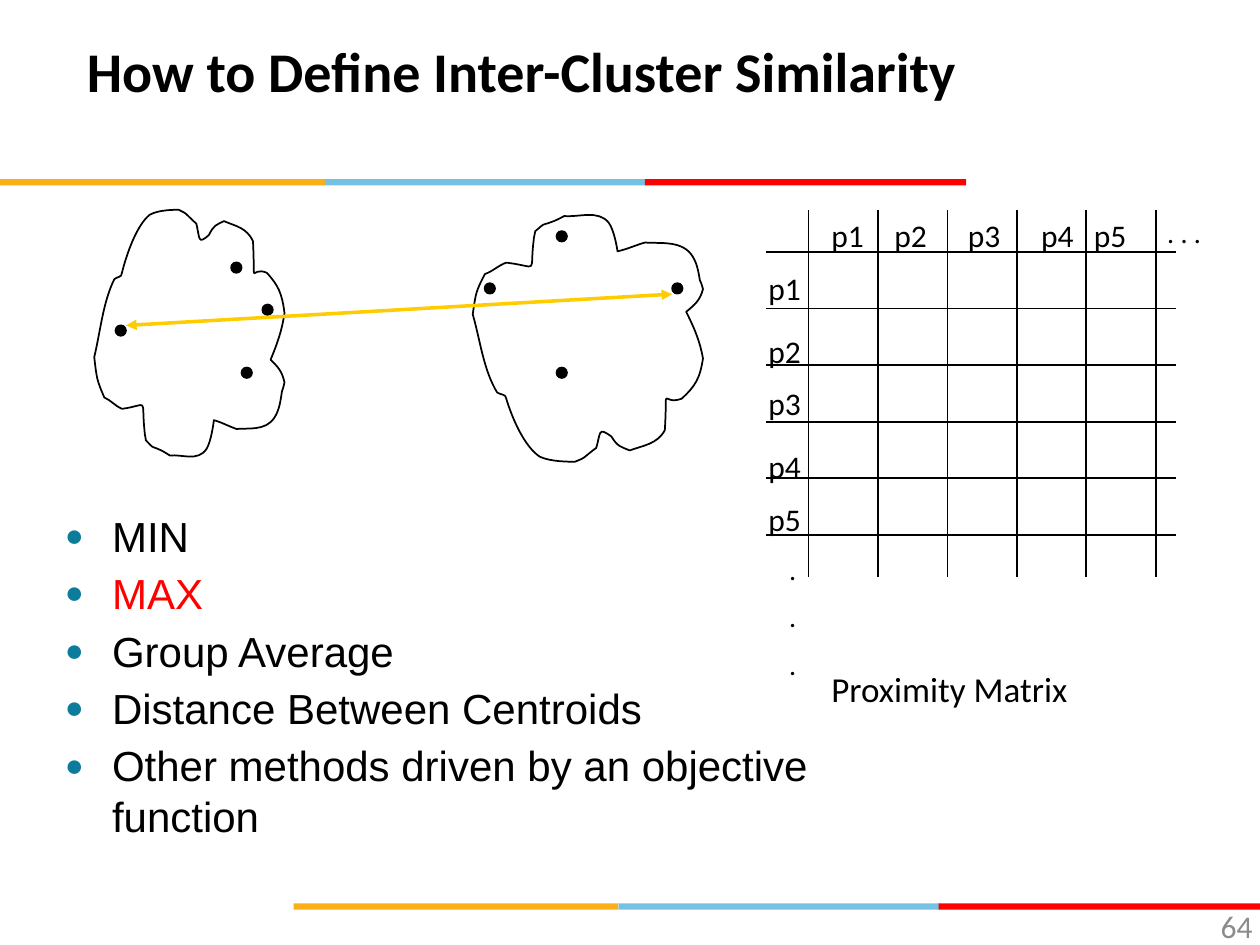
from dataclasses import dataclass

from lxml.etree import SubElement
from pptx import Presentation
from pptx.dml.color import RGBColor
from pptx.enum.shapes import MSO_CONNECTOR, MSO_SHAPE
from pptx.enum.text import PP_ALIGN
from pptx.oxml.ns import qn
from pptx.util import Cm, Pt


@dataclass(frozen=True)
class Theme:
    """Colours, fonts and type sizes of the slide."""
    ink: str = "000000"
    highlight: str = "FF0000"
    arrow: str = "FFCC00"
    bullet: str = "0C7B9C"
    number: str = "8B8B8B"
    bars: tuple = ("FBAF17", "75C1E4", "FF0000")
    heading_font: str = "Calibri"
    body_font: str = "Arial"
    title_size: int = 32
    body_size: int = 24
    caption_size: int = 20
    label_size: int = 18
    dots_size: int = 16


THEME = Theme()

BAR_SPANS = [(0, 6.55), (6.55, 6.48), (13, 6.48)]

GRID_LINES = 6
GRID_LEFT, GRID_RIGHT, FIRST_COLUMN, COLUMN_STEP = 15.45, 23.71, 16.3, 1.4
GRID_TOP, GRID_BOTTOM, FIRST_ROW, ROW_STEP = 4.23, 11.64, 5.08, 1.14
COLUMN_LABEL_LEFTS = (16.51, 17.78, 19.26, 20.74, 21.8)
ROW_LABEL_TOPS = (5.29, 6.56, 7.62, 8.89, 9.95)

OUTLINE_UNIT = 0.0254
OUTLINE_START = (16, 55)
OUTLINE_CURVES = [
    ((7, 73), (5, 96), (0, 117)),
    ((2, 134), (2, 135), (8, 149)),
    ((13, 151), (17, 156), (22, 158)),
    ((44, 155), (37, 148), (40, 176)),
    ((40, 179), (41, 181), (41, 183)),
    ((48, 190), (44, 187), (51, 190)),
    ((54, 191), (60, 195), (60, 195)),
    ((70, 194), (82, 200), (89, 190)),
    ((93, 184), (95, 167), (95, 167)),
    ((102, 169), (107, 172), (113, 174)),
    ((121, 173), (136, 176), (143, 165)),
    ((147, 159), (148, 151), (149, 144)),
    ((150, 142), (151, 137), (151, 137)),
    ((149, 128), (146, 125), (140, 119)),
    ((145, 107), (149, 96), (151, 82)),
    ((149, 66), (146, 60), (137, 50)),
    ((123, 44), (128, 65), (126, 25)),
    ((121, 14), (112, 13), (103, 9)),
    ((97, 12), (95, 12), (91, 20)),
    ((82, 28), (84, 23), (81, 11)),
    ((70, 1), (75, 4), (67, 0)),
    ((63, 0), (51, 0), (44, 4)),
    ((34, 12), (26, 34), (22, 50)),
    ((22, 54), (18, 53), OUTLINE_START),
]


@dataclass(frozen=True)
class Cluster:
    """Place, horizontal stretch and points of one cluster."""
    left: float
    stretch: float
    flipped: bool
    points: tuple


CLUSTERS = [
    Cluster(1.9, 1, False, ((4.87, 7.41), (4.66, 5.29), (2.33, 6.56), (5.29, 6.14))),
    Cluster(9.53, 1.21, True, ((13.55, 5.71), (9.77, 5.71), (11.22, 7.41), (11.22, 4.66))),
]
CLUSTER_TOP, POINT_SIZE = 4.23, 0.21

METHODS = [
    "MIN", "MAX", "Group Average", "Distance Between Centroids",
    "Other methods driven by an objective function",
]
CHOSEN_METHOD = "MAX"


def color(value):
    """Turn a hex string into a colour."""
    return RGBColor.from_string(value)


def add_filled(slide, kind, left, top, width, height, fill):
    """Add a solid preset shape without an outline."""
    shape = slide.shapes.add_shape(kind, Cm(left), Cm(top), Cm(width), Cm(height))
    shape.shadow.inherit = False
    shape.fill.solid()
    shape.fill.fore_color.rgb = color(fill)
    shape.line.fill.background()
    return shape


def set_line(line, stroke, width):
    """Give a line its colour and its width in points."""
    line.color.rgb = color(stroke)
    line.width = Pt(width)


def add_bars(slide, left, top):
    """Add one three-coloured rule."""
    for (offset, width), fill in zip(BAR_SPANS, THEME.bars):
        add_filled(slide, MSO_SHAPE.RECTANGLE, left + offset, top, width, 0.13, fill)


def add_line(shapes, start, end, stroke=THEME.ink, width=1, arrows=False):
    """Add a straight line, with arrowheads at both ends on request."""
    connector = shapes.add_connector(MSO_CONNECTOR.STRAIGHT, *map(Cm, (*start, *end)))
    set_line(connector.line, stroke, width)
    if arrows:
        for tag in ("a:headEnd", "a:tailEnd"):
            SubElement(connector.line._get_or_add_ln(), qn(tag), type="triangle")
    SubElement(connector._element.spPr, qn("a:effectLst"))


def add_text_frame(shapes, left, top, width, height, margins=True):
    """Add a wrapping text box and return its text frame."""
    frame = shapes.add_textbox(Cm(left), Cm(top), Cm(width), Cm(height)).text_frame
    frame.word_wrap = True
    if not margins:
        frame.margin_left = frame.margin_right = frame.margin_top = frame.margin_bottom = 0
    return frame


def add_run(paragraph, text, size, fill=THEME.ink, font=THEME.heading_font, bold=False):
    """Add one formatted run to a paragraph."""
    run = paragraph.add_run()
    run.text = text
    run.font.size = Pt(size)
    run.font.name = font
    run.font.bold = bold
    run.font.color.rgb = color(fill)


def add_label(shapes, text, left, top, size=THEME.label_size, width=1.48, height=1.02):
    """Add a one-line label."""
    frame = add_text_frame(shapes, left, top, width, height)
    add_run(frame.paragraphs[0], text, size)


def add_paragraphs(frame, count, space_before):
    """Yield the paragraphs of a frame, spaced from the second one on."""
    for index in range(count):
        paragraph = frame.add_paragraph() if index else frame.paragraphs[0]
        paragraph.space_before = Pt(space_before if index else 0)
        yield paragraph


def bend_segments(shape):
    """Merge every three straight segments of a freeform into a cubic curve."""
    path = next(shape._element.iter(qn("a:path")))
    segments = path.findall(qn("a:lnTo"))
    for curve, *others in zip(segments[::3], segments[1::3], segments[2::3]):
        curve.tag = qn("a:cubicBezTo")
        for segment in others:
            curve.append(segment[0])
            path.remove(segment)


def add_cluster(slide, cluster):
    """Add the shared curved outline, stretched and flipped, and its points."""
    scale = (Cm(OUTLINE_UNIT * cluster.stretch), Cm(OUTLINE_UNIT))
    builder = slide.shapes.build_freeform(*OUTLINE_START, scale=scale)
    builder.add_line_segments([point for curve in OUTLINE_CURVES for point in curve], close=True)
    outline = builder.convert_to_shape(Cm(cluster.left), Cm(CLUSTER_TOP))
    bend_segments(outline)
    outline.shadow.inherit = False
    outline.fill.background()
    set_line(outline.line, THEME.ink, 1)
    if cluster.flipped:
        outline._element.spPr.xfrm.set("flipV", "1")
    for left, top in cluster.points:
        point = add_filled(slide, MSO_SHAPE.OVAL, left, top, POINT_SIZE, POINT_SIZE, THEME.ink)
        set_line(point.line, THEME.ink, 1)


def add_matrix(slide):
    """Add the proximity matrix grid with its labels as one group."""
    shapes = slide.shapes.add_group_shape().shapes
    for index in range(GRID_LINES):
        column, row = FIRST_COLUMN + COLUMN_STEP * index, FIRST_ROW + ROW_STEP * index
        add_line(shapes, (column, GRID_TOP), (column, GRID_BOTTOM))
        add_line(shapes, (GRID_LEFT, row), (GRID_RIGHT, row))
    for number, (left, top) in enumerate(zip(COLUMN_LABEL_LEFTS, ROW_LABEL_TOPS), 1):
        add_label(shapes, f"p{number}", 15.24, top)
        add_label(shapes, f"p{number}", left, GRID_TOP)
    add_label(shapes, ". . .", 23.28, GRID_TOP, THEME.dots_size)
    frame = add_text_frame(shapes, 15.66, 11.01, 1.48, 2.84)
    for paragraph in add_paragraphs(frame, 3, space_before=8):
        add_run(paragraph, ".", THEME.dots_size)


def add_bullet(paragraph):
    """Give a paragraph a hanging round bullet."""
    properties = paragraph._p.get_or_add_pPr()
    properties.set("marL", str(Cm(0.95)))
    properties.set("indent", str(-Cm(0.95)))
    SubElement(SubElement(properties, qn("a:buClr")), qn("a:srgbClr"), val=THEME.bullet)
    SubElement(properties, qn("a:buSzPct"), val="75000")
    SubElement(properties, qn("a:buFont"), typeface=THEME.body_font)
    SubElement(properties, qn("a:buChar"), char="●")


def add_methods(slide):
    """Add the bulleted list of similarity methods."""
    frame = add_text_frame(slide.shapes, 1.06, 10.16, 16.09, 8.69)
    for method, paragraph in zip(METHODS, add_paragraphs(frame, len(METHODS), space_before=2)):
        paragraph.space_after = Pt(2)
        add_bullet(paragraph)
        fill = THEME.highlight if method == CHOSEN_METHOD else THEME.ink
        add_run(paragraph, method, THEME.body_size, fill, THEME.body_font)


def main():
    """Build the slide and save it."""
    presentation = Presentation()
    presentation.slide_width, presentation.slide_height = Cm(25.4), Cm(19.05)
    slide = presentation.slides.add_slide(presentation.slide_layouts[6])
    add_bars(slide, 0, 3.61)
    add_bars(slide, 5.92, 18.21)
    title = add_text_frame(slide.shapes, 1.75, 0.74, 21.89, 1.09, margins=False).paragraphs[0]
    add_run(title, "How to Define Inter-Cluster Similarity", THEME.title_size, bold=True)
    number = add_text_frame(slide.shapes, 19.53, 18.29, 5.72, 0.64, margins=False).paragraphs[0]
    number.alignment = PP_ALIGN.RIGHT
    add_run(number, "64", THEME.label_size, THEME.number)
    add_matrix(slide)
    for cluster in CLUSTERS:
        add_cluster(slide, cluster)
    add_line(slide.shapes, (2.54, 6.56), (13.55, 5.93), THEME.arrow, 2, arrows=True)
    add_label(slide.shapes, "Proximity Matrix", 16.51, 13.34, THEME.caption_size, 6.99, 1.09)
    add_methods(slide)
    presentation.save("out.pptx")


if __name__ == "__main__":
    main()
